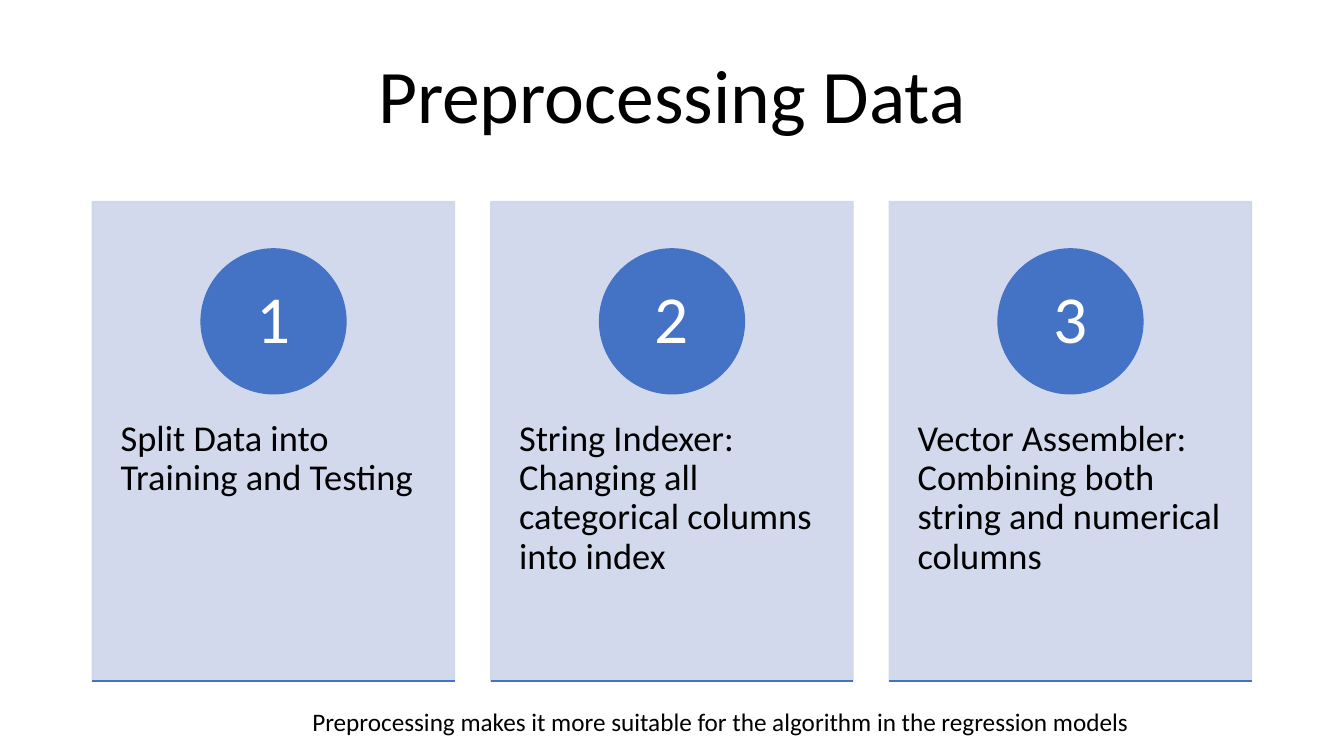
from lxml import etree
from pptx import Presentation
from pptx.dml.color import RGBColor
from pptx.enum.shapes import MSO_CONNECTOR, MSO_SHAPE
from pptx.enum.text import MSO_ANCHOR, PP_ALIGN
from pptx.oxml.ns import qn
from pptx.util import Pt

RECT, OVAL = MSO_SHAPE.RECTANGLE, MSO_SHAPE.OVAL
STRAIGHT = MSO_CONNECTOR.STRAIGHT
TOP, MIDDLE = MSO_ANCHOR.TOP, MSO_ANCHOR.MIDDLE
LEFT, CENTER = PP_ALIGN.LEFT, PP_ALIGN.CENTER
BLACK = RGBColor(0x00, 0x00, 0x00)
WHITE = RGBColor(0xFF, 0xFF, 0xFF)
BLUE = RGBColor(0x44, 0x72, 0xC4)
PALE = RGBColor(0xCF, 0xD5, 0xEA)

STEPS = [
    "Split Data into Training and Testing",
    "String Indexer: Changing all categorical columns into index",
    "Vector Assembler: Combining both string and numerical columns",
]
CARD_X, CARD_Y, CARD_W, CARD_H = 66, 144, 258.75, 342.6
PITCH = 284.63
DISC = 103.5

deck = Presentation()
deck.slide_width, deck.slide_height = Pt(960), Pt(540)
slide = deck.slides.add_slide(deck.slide_layouts[6])
shapes = slide.shapes


def write(shape, text, size, color=BLACK, align=LEFT, anchor=TOP,
          pad=(7.2, 3.6), wrap=True, spacing=0.9):
    frame = shape.text_frame
    frame.word_wrap = wrap
    frame.vertical_anchor = anchor
    frame.margin_left = frame.margin_right = Pt(pad[0])
    frame.margin_top = frame.margin_bottom = Pt(pad[1])
    line = frame.paragraphs[0]
    line.text = text
    line.alignment = align
    line.line_spacing = spacing
    line.font.name = "Calibri"
    line.font.size = Pt(size)
    line.font.color.rgb = color


def add_block(kind, x, y, w, h, color):
    block = shapes.add_shape(kind, Pt(x), Pt(y), Pt(w), Pt(h))
    block.shadow.inherit = False
    block.fill.solid()
    block.fill.fore_color.rgb = color
    block.line.color.rgb = color
    block.line.width = Pt(1)
    return block


# Title
title = shapes.add_textbox(Pt(66), Pt(18.75), Pt(828), Pt(104.4))
write(title, "Preprocessing Data", 54, align=CENTER, anchor=MIDDLE)

# Numbered step cards
for index, step in enumerate(STEPS):
    x = CARD_X + index * PITCH

    # Card with slightly transparent fill and outline
    card = add_block(RECT, x, CARD_Y, CARD_W, CARD_H, PALE)
    for tint in card._element.spPr.iter(qn("a:srgbClr")):
        etree.SubElement(tint, qn("a:alpha"), val="90000")

    body = shapes.add_textbox(Pt(x), Pt(273.8), Pt(CARD_W), Pt(205.6))
    write(body, step, 26, pad=(20.2, 26))

    disc = add_block(OVAL, x + (CARD_W - DISC) / 2, 177.8, DISC, DISC, BLUE)
    write(disc, str(index + 1), 48, WHITE, CENTER, MIDDLE, pad=(8, 1))

    # Rule along the foot of the card
    foot = CARD_Y + CARD_H
    rule = shapes.add_connector(STRAIGHT, Pt(x), Pt(foot), Pt(x + CARD_W), Pt(foot))
    rule.line.color.rgb = BLUE
    rule.line.width = Pt(1.5)
    etree.SubElement(rule._element.spPr, qn("a:effectLst"))

# Closing note
note = shapes.add_textbox(Pt(216), Pt(501.1), Pt(604), Pt(29))
write(note, "Preprocessing makes it more suitable for the algorithm in the regression models",
      18, wrap=False, spacing=1.0)

deck.save("out.pptx")
